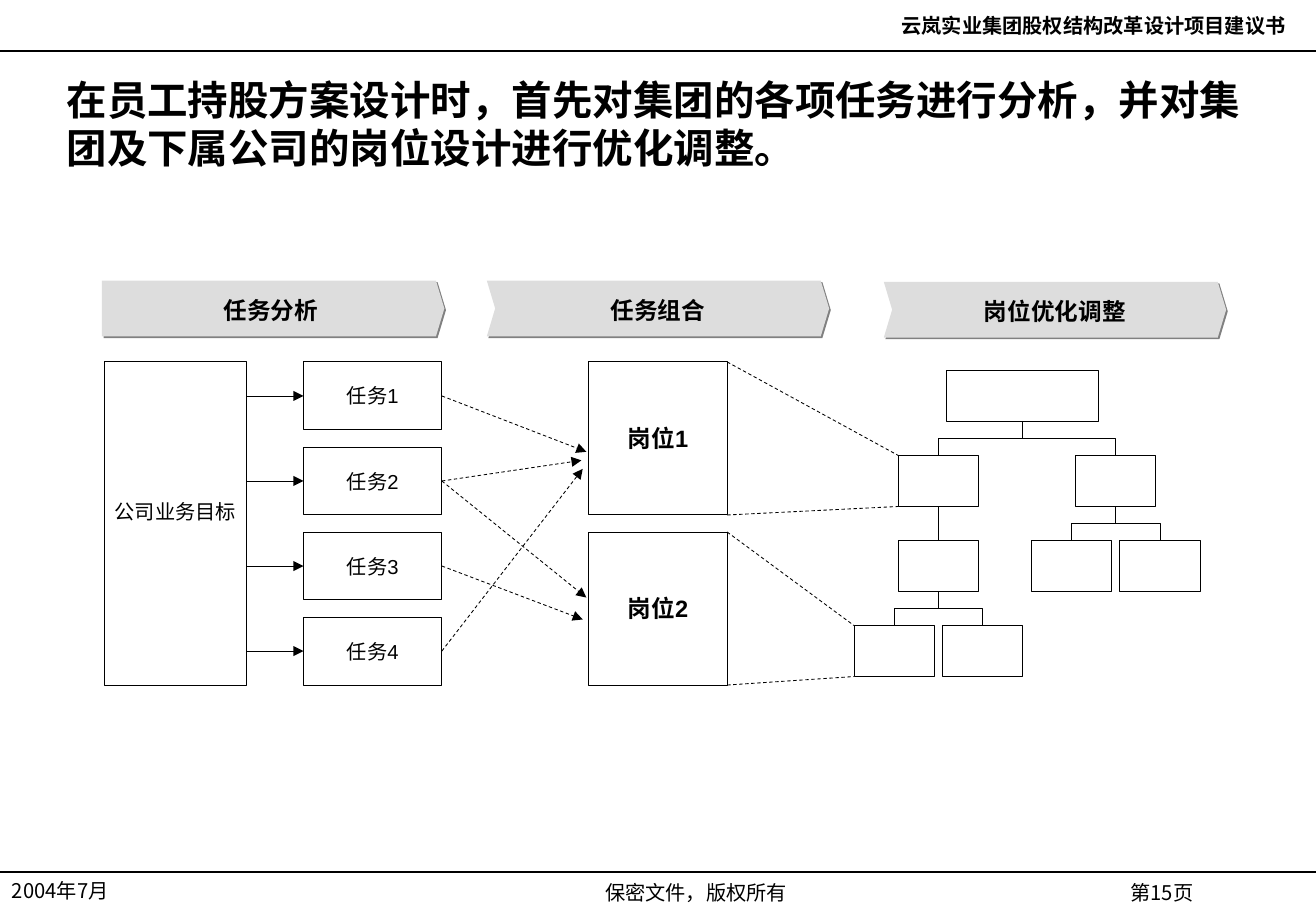
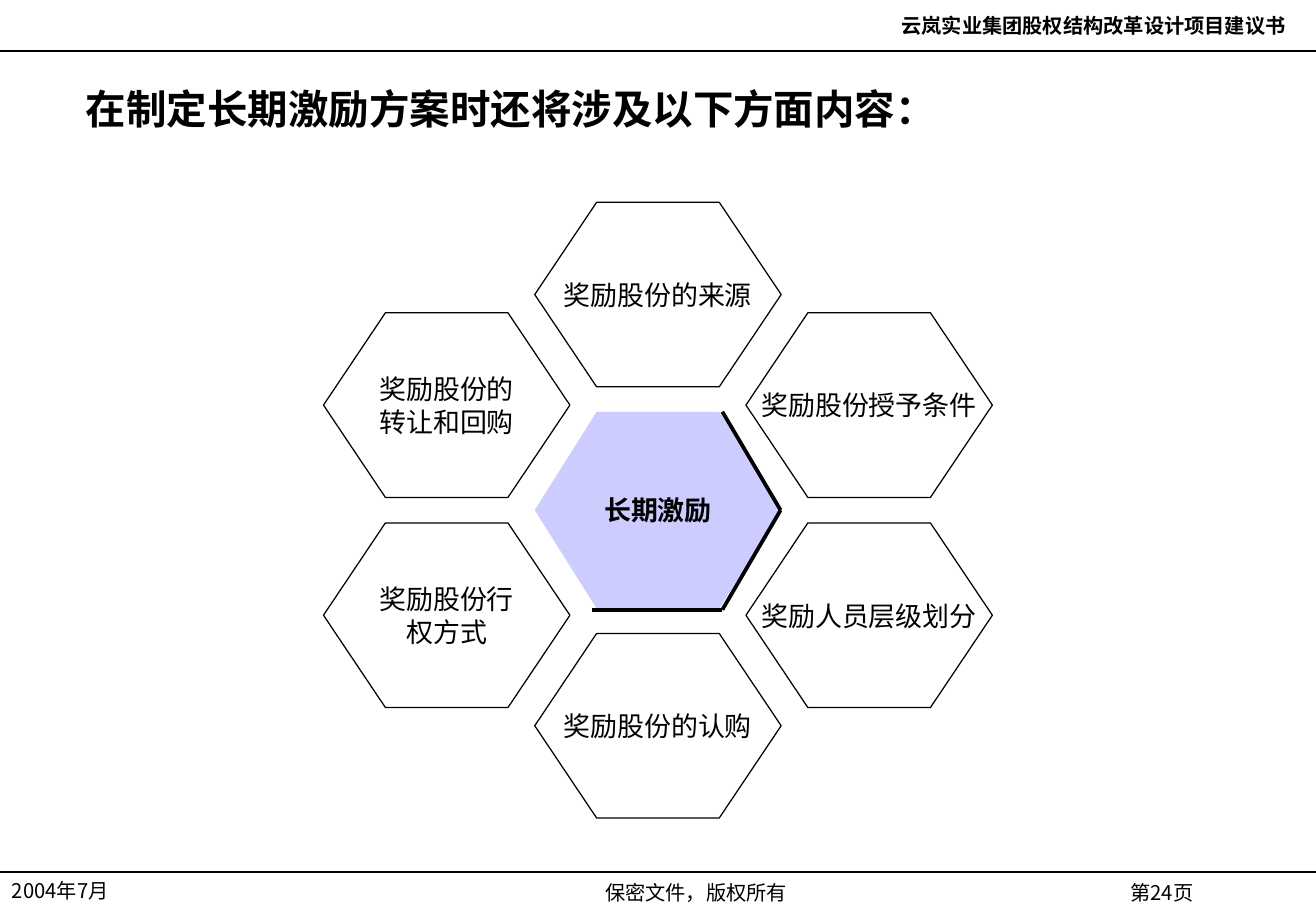
from dataclasses import dataclass
from itertools import pairwise

from lxml.etree import SubElement
from pptx import Presentation
from pptx.dml.color import RGBColor
from pptx.enum.dml import MSO_LINE
from pptx.enum.shapes import MSO_CONNECTOR as Link, MSO_SHAPE as Preset
from pptx.enum.text import MSO_ANCHOR as Anchor, PP_ALIGN as Align
from pptx.oxml.ns import qn
from pptx.util import Inches, Pt

TOP, LEFT, BOTTOM, RIGHT = range(4)


@dataclass(frozen=True)
class Theme:
    ink: RGBColor = RGBColor(0, 0, 0)
    band: RGBColor = RGBColor(0xDD, 0xDD, 0xDD)
    accent: RGBColor = RGBColor(0xCC, 0xCC, 0xFF)
    shadow: str = "808080"
    sans: str = "Arial"
    serif: str = "Times New Roman"
    chinese: str = "Noto Sans CJK SC"
    title: int = 24
    topic: int = 16
    heading: int = 14
    small: int = 12
    leading: float = 1.2
    thin: float = 0.5
    rule: float = 0.75
    edge: float = 2.25


def assign(target, values):
    for name, value in values.items():
        setattr(target, name, value)


class Builder:
    def __init__(self, deck, theme):
        self.deck = deck
        self.theme = theme
        self.page = None

    def start(self, title, title_box, number):
        theme = self.theme
        self.page = self.deck.slides.add_slide(self.deck.slide_layouts[6])
        for y in (0.42, 7.18):
            self.line((0, y), (10.84, y), theme.rule)
        furniture = [
            ("云岚实业集团股权结构改革设计项目建议书", (6.9, 0.06, 3.79, 0.3), Align.RIGHT, True, theme.chinese),
            ("2004年7月", (0, 7.18, 1.81, 0.3), Align.LEFT, False, theme.chinese),
            ("保密文件，版权所有", (2.8, 7.2, 5.87, 0.3), Align.CENTER, False, theme.serif),
            (f"第{number}页", (8.76, 7.2, 1.62, 0.3), Align.CENTER, False, theme.chinese),
        ]
        for words, area, align, bold, font in furniture:
            self.text(words, area, theme.small, font, bold, align)
        self.text(title, title_box, theme.title, theme.serif, True, Align.LEFT, Anchor.MIDDLE)

    def label(self, shape, words, size, font, bold=False, align=Align.CENTER,
              anchor=Anchor.MIDDLE, wrap=True, insets=(0.1, 0.05, 0.1, 0.05)):
        frame = shape.text_frame
        sides = ("margin_left", "margin_top", "margin_right", "margin_bottom")
        assign(frame, {"word_wrap": wrap, "vertical_anchor": anchor,
                       **{side: Inches(inset) for side, inset in zip(sides, insets)}})
        para = frame.paragraphs[0]
        assign(para, {"alignment": align, "line_spacing": Pt(size * self.theme.leading)})
        span = para.add_run()
        span.text = words
        assign(span.font, {"name": font, "size": Pt(size), "bold": bold})
        span.font.color.rgb = self.theme.ink
        SubElement(span._r.get_or_add_rPr(), qn("a:ea"), typeface=self.theme.chinese)

    def text(self, words, area, size, font, bold, align, anchor=Anchor.TOP):
        box = self.page.shapes.add_textbox(*map(Inches, area))
        self.label(box, words, size, font, bold, align, anchor)

    def shape(self, preset, area, fill=None, width=None):
        shape = self.page.shapes.add_shape(preset, *map(Inches, area))
        shape.shadow.inherit = False
        if fill is None:
            shape.fill.background()
        else:
            shape.fill.solid()
            shape.fill.fore_color.rgb = fill
        if width is None:
            shape.line.fill.background()
        else:
            self.ink_line(shape, width)
        return shape

    def ink_line(self, shape, width):
        shape.line.color.rgb = self.theme.ink
        shape.line.width = Pt(width)

    def box(self, area, words="", size=None, bold=False, insets=(0, 0, 0, 0)):
        box = self.shape(Preset.RECTANGLE, area, width=self.theme.thin)
        if words:
            self.label(box, words, size, self.theme.sans, bold, wrap=False, insets=insets)
        return box

    def banner(self, words, preset, x, y):
        banner = self.shape(preset, (x, y, 2.82, 0.46), self.theme.band)
        banner.adjustments[0] = 0.15
        effects = banner._element.spPr.find(qn("a:effectLst"))
        shadow = SubElement(effects, qn("a:outerShdw"), blurRad="0", dist=str(Pt(1.4)),
                            dir="2700000", algn="ctr", rotWithShape="0")
        SubElement(shadow, qn("a:srgbClr"), val=self.theme.shadow)
        self.label(banner, words, self.theme.heading, self.theme.sans, True,
                   wrap=False, insets=(0, 0.03, 0, 0))

    def hexagon(self, words, centre, height, fill=None, width=None, bold=False, wrap=False):
        x, y = centre
        hexagon = self.shape(Preset.HEXAGON, (x - 1.015, y - height / 2, 2.03, height), fill, width)
        hexagon.adjustments[0] = 0.51 / height
        self.label(hexagon, words, self.theme.topic, self.theme.serif, bold, wrap=wrap)

    def line(self, start, end, width, dashed=False, arrow=False, begin=None, finish=None, kind=Link.STRAIGHT):
        link = self.page.shapes.add_connector(kind, *map(Inches, (*start, *end)))
        if begin:
            link.begin_connect(*begin)
        if finish:
            link.end_connect(*finish)
        self.ink_line(link, width)
        if dashed:
            link.line.dash_style = MSO_LINE.DASH
        if arrow:
            SubElement(link.line._get_or_add_ln(), qn("a:tailEnd"), type="triangle")
        SubElement(link._element.spPr, qn("a:effectLst"))
        return link

    def branch(self, parent, child):
        straight = abs(parent.left + parent.width / 2 - child.left - child.width / 2) < Inches(0.01)
        kind = Link.STRAIGHT if straight else Link.ELBOW
        link = self.line((0, 0), (1, 1), self.theme.thin, begin=(parent, BOTTOM),
                         finish=(child, TOP), kind=kind)
        if straight:
            return
        across = link.end_x - link.begin_x
        down = link.end_y - link.begin_y
        middle_x = (link.begin_x + link.end_x) // 2
        middle_y = (link.begin_y + link.end_y) // 2
        assign(link, {"left": middle_x - down // 2, "top": middle_y - abs(across) // 2,
                      "width": down, "height": abs(across)})
        frame = link._element.spPr.find(qn("a:xfrm"))
        frame.set("rot", "16200000" if across > 0 else "5400000")
        frame.set("flipH", "1" if across > 0 else "0")
        frame.set("flipV", "0")


def build_task_page(builder):
    theme = builder.theme
    builder.start("在员工持股方案设计时，首先对集团的各项任务进行分析，并对集团及下属公司的岗位设计进行优化调整。",
                  (0.45, 0.54, 9.92, 0.95), 15)
    builder.banner("任务分析", Preset.PENTAGON, 0.84, 2.31)
    builder.banner("任务组合", Preset.CHEVRON, 4.01, 2.31)
    builder.banner("岗位优化调整", Preset.CHEVRON, 7.28, 2.32)

    top, pitch = 2.98, 0.7
    builder.box((0.86, top, 1.17, 2.66), "公司业务目标", theme.small, insets=(0, 0, 0, 0.2))
    tasks = []
    for index in range(4):
        y = top + index * pitch
        task = builder.box((2.5, y, 1.14, 0.56), f"任务{index + 1}", theme.small)
        builder.line((2.03, y + 0.28), (2.5, y + 0.28), theme.thin, arrow=True, finish=(task, LEFT))
        tasks.append(task)

    position_tops = [top + index * 2 * pitch for index in range(2)]
    for index, y in enumerate(position_tops):
        builder.box((4.85, y, 1.14, 1.26), f"岗位{index + 1}", theme.heading, True)

    for index, end in [(0, (4.83, 3.72)), (1, (4.79, 3.79)), (1, (4.83, 4.92)),
                       (3, (4.8, 3.86)), (2, (4.8, 5.1))]:
        builder.line((3.64, top), end, theme.thin, dashed=True, arrow=True, begin=(tasks[index], RIGHT))

    unit_width, unit_height, spread = 0.66, 0.42, 0.365
    rows = [3.05 + index * pitch for index in range(4)]
    left, right = 7.4, 8.86

    def unit(x, row):
        return builder.box((x, rows[row], unit_width, unit_height))

    root = builder.box((7.8, rows[0], 1.25, unit_height))
    first, second, lower = unit(left, 1), unit(right, 1), unit(left, 2)
    for parent, child in [(root, first), (root, second), (first, lower)]:
        builder.branch(parent, child)
    for parent, x, row in [(lower, left, 3), (second, right, 2)]:
        for shift in (-spread, spread):
            builder.branch(parent, unit(x + shift, row))

    for position_top, x, unit_top in zip(position_tops, (left, left - spread), (rows[1], rows[3])):
        builder.line((5.99, position_top), (x, unit_top), theme.thin, dashed=True)
        builder.line((5.99, position_top + 1.26), (x, unit_top + unit_height), theme.thin, dashed=True)


def build_incentive_page(builder):
    theme = builder.theme
    builder.start("在制定长期激励方案时还将涉及以下方面内容：", (0.61, 0.54, 9.41, 0.71), 24)
    x, y = 5.42, 4.2
    across, near, far = 1.74, 0.865, 1.775
    builder.hexagon("长期激励", (x, y), 1.62, theme.accent, bold=True)
    topics = [
        ("奖励股份的来源", 0, -far),
        ("奖励股份授予条件", across, -near),
        ("奖励人员层级划分", across, near),
        ("奖励股份的认购", 0, far),
        ("奖励股份行权方式", -across, near),
        ("奖励股份的转让和回购", -across, -near),
    ]
    for words, shift_x, shift_y in topics:
        builder.hexagon(words, (x + shift_x, y + shift_y), 1.52, width=theme.rule, wrap=shift_x < 0)
    corners = [(4.88, 5.02), (5.95, 5.02), (6.43, y), (5.95, 3.39)]
    for start, end in pairwise(corners):
        builder.line(start, end, theme.edge)


def main():
    deck = Presentation()
    assign(deck, {"slide_width": Inches(10.84), "slide_height": Inches(7.5)})
    builder = Builder(deck, Theme())
    build_task_page(builder)
    build_incentive_page(builder)
    deck.save("out.pptx")


if __name__ == "__main__":
    main()
